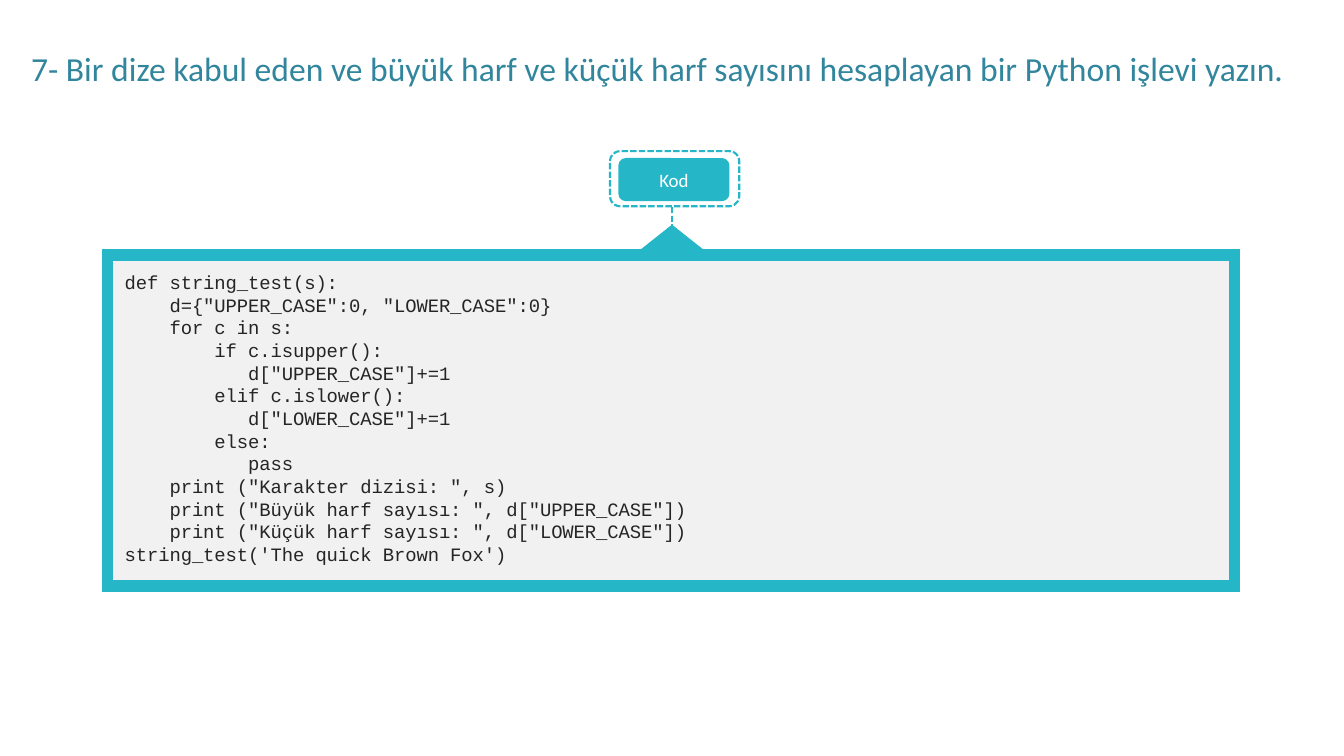
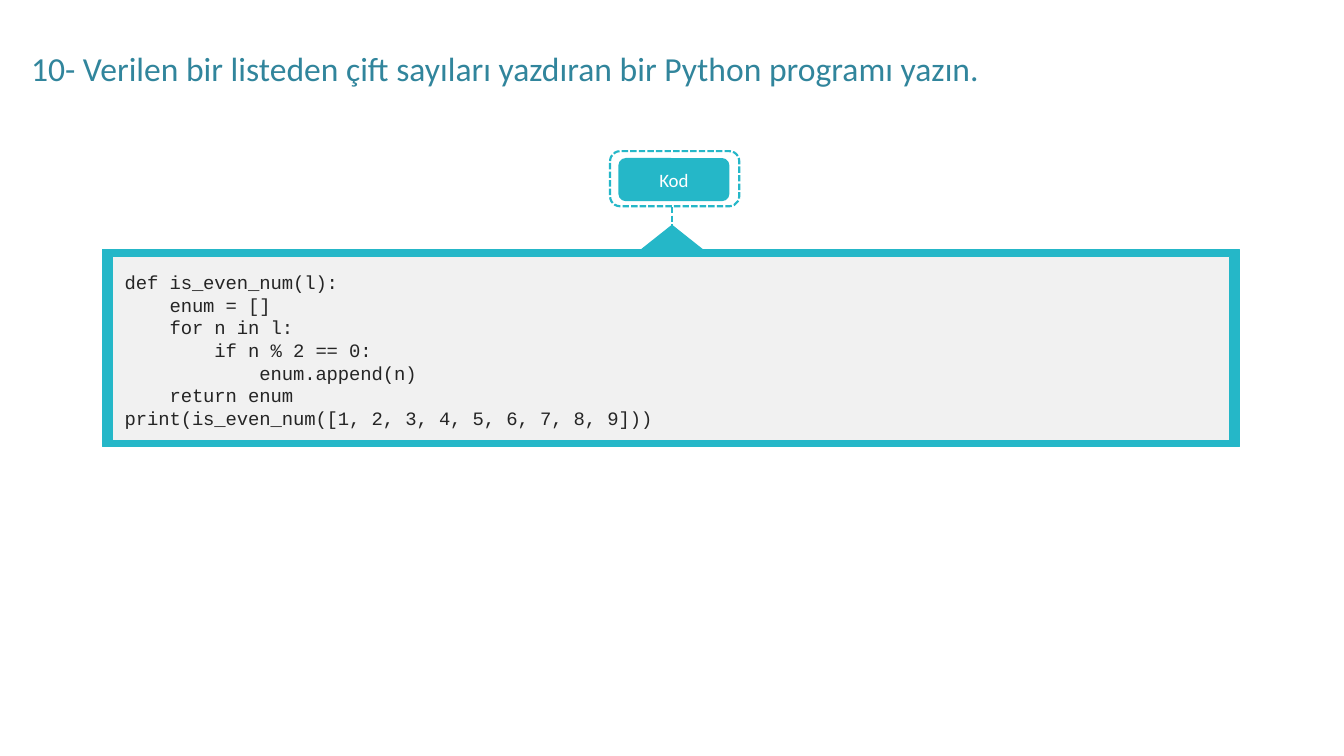
import pptx
import pptx.util
from pptx.dml.color import RGBColor
from pptx.enum.dml import MSO_LINE
from pptx.enum.shapes import MSO_CONNECTOR, MSO_SHAPE
from pptx.enum.text import MSO_ANCHOR, MSO_AUTO_SIZE, PP_ALIGN
from pptx.oxml.ns import qn
from pptx.util import Cm, Pt
from lxml import etree

TEAL = RGBColor(0x25, 0xB7, 0xC8)
TITLE_BLUE = RGBColor(0x31, 0x85, 0x9C)
PANEL_GREY = RGBColor(0xF1, 0xF1, 0xF1)
CODE_DARK = RGBColor(0x25, 0x25, 0x25)
WHITE = RGBColor(0xFF, 0xFF, 0xFF)

# Frame shared by both slides, in cm
FRAME_LEFT, FRAME_TOP, FRAME_WIDTH = 3.45, 8.38, 38.2
SIDE_BORDER = 0.33
POINTER_X = 22.58

# Each exercise: title, frame height, top and bottom border, code
exercises = [
    ("7- Bir dize kabul eden ve büyük harf ve küçük harf sayısını hesaplayan bir Python işlevi yazın.",
     11.51, 0.38,
     '''def string_test(s):
    d={"UPPER_CASE":0, "LOWER_CASE":0}
    for c in s:
        if c.isupper():
           d["UPPER_CASE"]+=1
        elif c.islower():
           d["LOWER_CASE"]+=1
        else:
           pass
    print ("Karakter dizisi: ", s)
    print ("Büyük harf sayısı: ", d["UPPER_CASE"])
    print ("Küçük harf sayısı: ", d["LOWER_CASE"])
string_test('The quick Brown Fox')'''),
    ("10- Verilen bir listeden çift sayıları yazdıran bir Python programı yazın.",
     6.64, 0.23,
     '''def is_even_num(l):
    enum = []
    for n in l:
        if n % 2 == 0:
            enum.append(n)
    return enum
print(is_even_num([1, 2, 3, 4, 5, 6, 7, 8, 9]))'''),
]


def add_block(slide, kind, left, top, width, height, fill=None, line_width=0.96):
    block = slide.shapes.add_shape(kind, Cm(left), Cm(top), Cm(width), Cm(height))
    block.shadow.inherit = False
    if fill is None:
        block.fill.background()
    else:
        block.fill.solid()
        block.fill.fore_color.rgb = fill
    block.line.color.rgb = TEAL
    block.line.width = Pt(line_width)
    return block


def format_text(frame, font_name, size, color, alignment, spacing=0):
    for paragraph in frame.paragraphs:
        paragraph.alignment = alignment
        for run in paragraph.runs:
            run.font.name = font_name
            run.font.size = Pt(size)
            run.font.color.rgb = color
            run.font._element.set("spc", str(spacing))


prs = pptx.Presentation()
prs.slide_width = Cm(45.16)
prs.slide_height = Cm(25.4)

for question, frame_height, border, code in exercises:
    slide = prs.slides.add_slide(prs.slide_layouts[5])

    # Title
    title = slide.shapes.title
    title.left, title.top, title.width, title.height = Cm(0.79), Cm(1.47), Cm(43.18), Cm(1.63)
    title.text_frame.text = question
    title.text_frame.auto_size = MSO_AUTO_SIZE.NONE
    title.text_frame.vertical_anchor = MSO_ANCHOR.TOP
    format_text(title.text_frame, "Calibri", 32, TITLE_BLUE, PP_ALIGN.LEFT)

    # Label with its dashed outline
    outline = add_block(slide, MSO_SHAPE.ROUNDED_RECTANGLE, 20.5, 5.08, 4.34, 1.85, line_width=2.04)
    outline.line.dash_style = MSO_LINE.SQUARE_DOT
    outline.adjustments[0] = 0.18
    label = add_block(slide, MSO_SHAPE.ROUNDED_RECTANGLE, 20.78, 5.31, 3.73, 1.45, TEAL)
    label.line.fill.background()
    label.adjustments[0] = 0.17
    label.text_frame.text = "Kod"
    label.text_frame.vertical_anchor = MSO_ANCHOR.MIDDLE
    format_text(label.text_frame, "Calibri", 18, WHITE, PP_ALIGN.CENTER, -10)

    # Dashed stem and pointer down to the frame
    stem = slide.shapes.add_connector(
        MSO_CONNECTOR.STRAIGHT, Cm(POINTER_X), Cm(6.96), Cm(POINTER_X), Cm(7.6))
    stem.line.color.rgb = TEAL
    stem.line.width = Pt(2)
    stem.line.dash_style = MSO_LINE.SQUARE_DOT
    etree.SubElement(stem._element.spPr, qn("a:effectLst"))
    add_block(slide, MSO_SHAPE.ISOSCELES_TRIANGLE, POINTER_X - 1.02, 7.57, 2.04, 0.81, TEAL)

    # Frame and code panel
    add_block(slide, MSO_SHAPE.RECTANGLE, FRAME_LEFT, FRAME_TOP, FRAME_WIDTH, frame_height, TEAL)
    add_block(slide, MSO_SHAPE.RECTANGLE, FRAME_LEFT + SIDE_BORDER, FRAME_TOP + border,
              FRAME_WIDTH - 2 * SIDE_BORDER, frame_height - 2 * border, PANEL_GREY)

    # Code
    listing = slide.shapes.add_textbox(
        Cm(4.19), Cm(8.66), Cm(37), Cm(frame_height - 0.95)).text_frame
    listing.word_wrap = True
    listing.margin_left = listing.margin_right = listing.margin_bottom = 0
    listing.margin_top = Cm(0.43)
    listing.text = code
    format_text(listing, "Courier New", 18, CODE_DARK, PP_ALIGN.LEFT, -10)

prs.save("out.pptx")
